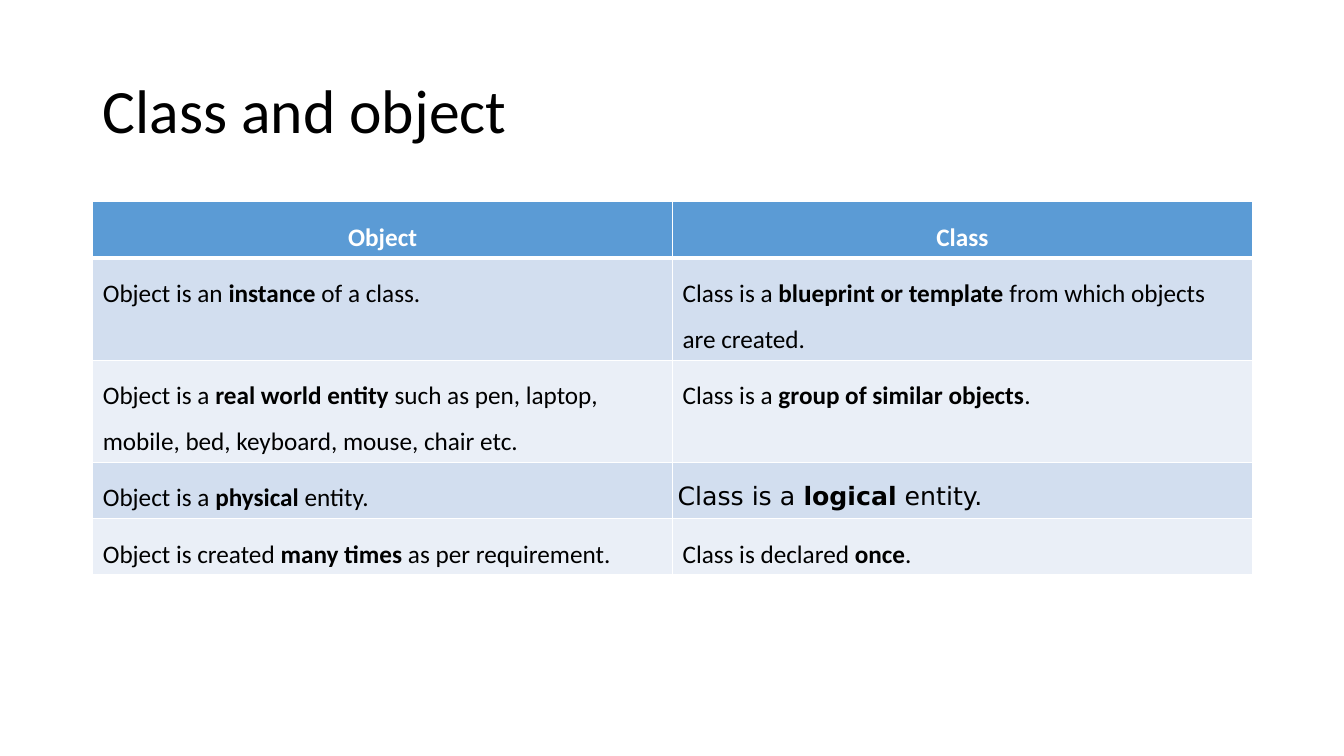
from lxml.etree import SubElement
from pptx import Presentation
from pptx.dml.color import RGBColor
from pptx.enum.text import MSO_ANCHOR, PP_ALIGN
from pptx.oxml.ns import qn
from pptx.util import Inches, Pt

TITLE = "Class and object"
# Text between double asterisks is bold.
ROWS = [
    ("**Object**", "**Class**"),
    ("Object is an **instance** of a class.",
     "Class is a **blueprint or template** from which objects are created."),
    ("Object is a **real world entity** such as pen, laptop, mobile, bed, "
     "keyboard, mouse, chair etc.",
     "Class is a **group of similar objects**."),
    ("Object is a **physical** entity.", "Class is a **logical** entity."),
    ("Object is created **many times** as per requirement.",
     "Class is declared **once**."),
]
LOGICAL_CELL = (3, 1)  # set in its own font, with narrow margins

FONT, LOGICAL_FONT = "Calibri", "DejaVu Sans"
BLACK, WHITE, HEADER = "000000", "FFFFFF", "5B9BD5"
BANDS = ("EAEFF7", "D2DEEF")
LEFT, WIDTH = 0.92, 11.5
TITLE_TOP, TITLE_HEIGHT = 0.4, 1.45
TABLE_TOP, ROW_HEIGHT = 2, 0.41
THIN, THICK = 1, 3


def rgb(color):
    return RGBColor.from_string(color)


def write(tf, text, size=18, font=FONT, color=BLACK, align=PP_ALIGN.LEFT, spacing=1.5):
    """Fill the first paragraph, switching bold at each double asterisk."""
    p = tf.paragraphs[0]
    p.alignment, p.line_spacing = align, spacing
    for i, part in enumerate(text.split("**")):
        if part:
            r = p.add_run()
            r.text = part
            r.font.size, r.font.name = Pt(size), font
            r.font.bold = i % 2 == 1
            r.font.color.rgb = rgb(color)


def add_borders(cell, top, bottom):
    tc_pr = cell._tc.get_or_add_tcPr()
    sides = {"L": THIN, "R": THIN, "T": top, "B": bottom}
    for side, width in sides.items():
        ln = SubElement(tc_pr, qn(f"a:ln{side}"), w=str(Pt(width)))
        fill = SubElement(ln, qn("a:solidFill"))
        SubElement(fill, qn("a:srgbClr"), val=WHITE)


def add_title(slide):
    title = slide.shapes.title
    title.left, title.top = Inches(LEFT), Inches(TITLE_TOP)
    title.width, title.height = Inches(WIDTH), Inches(TITLE_HEIGHT)
    title.text_frame.vertical_anchor = MSO_ANCHOR.MIDDLE
    write(title.text_frame, TITLE, size=44, spacing=0.9)


def add_comparison(slide):
    table = slide.shapes.add_table(
        len(ROWS), len(ROWS[0]), Inches(LEFT), Inches(TABLE_TOP),
        Inches(WIDTH), Inches(ROW_HEIGHT * len(ROWS))).table
    for i, row in enumerate(ROWS):
        for j, text in enumerate(row):
            cell = table.cell(i, j)
            add_borders(cell, top=THICK if i == 1 else THIN,
                        bottom=THICK if i == 0 else THIN)
            cell.fill.solid()
            cell.fill.fore_color.rgb = rgb(BANDS[i % 2] if i else HEADER)
            style = {}
            if i == 0:
                style = {"color": WHITE, "align": PP_ALIGN.CENTER}
            elif (i, j) == LOGICAL_CELL:
                style = {"font": LOGICAL_FONT, "align": PP_ALIGN.JUSTIFY}
                cell.margin_left = cell.margin_right = Inches(0.05)
                cell.margin_top = cell.margin_bottom = Inches(0.05)
            write(cell.text_frame, text, **style)


def main():
    prs = Presentation()
    prs.slide_width, prs.slide_height = Inches(13.33), Inches(7.5)
    slide = prs.slides.add_slide(prs.slide_layouts[5])
    add_title(slide)
    add_comparison(slide)
    prs.save("out.pptx")


if __name__ == "__main__":
    main()
